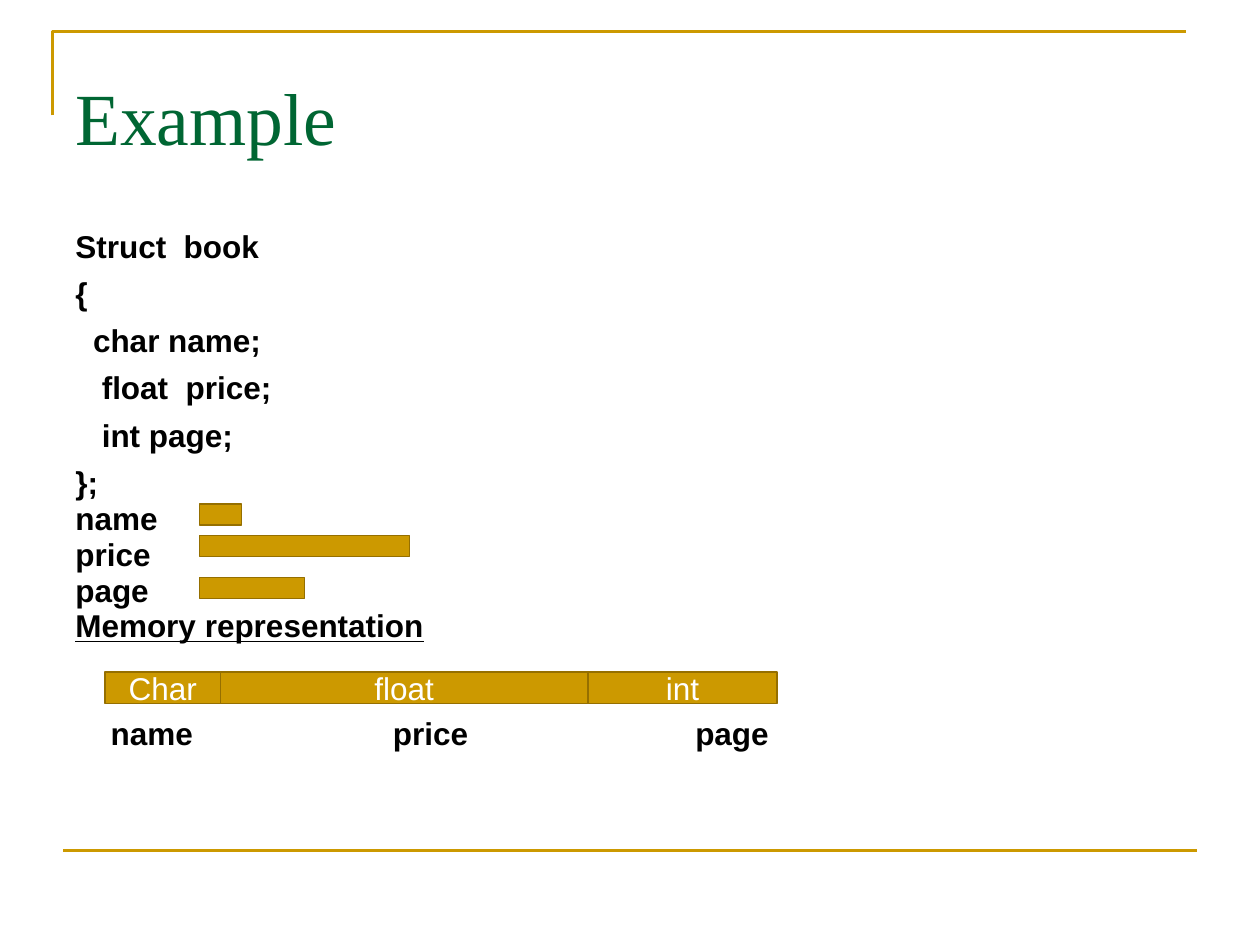
from dataclasses import dataclass

from lxml import etree
from pptx import Presentation
from pptx.dml.color import RGBColor
from pptx.enum.shapes import MSO_CONNECTOR, MSO_SHAPE
from pptx.enum.text import MSO_ANCHOR, PP_ALIGN
from pptx.oxml.ns import qn
from pptx.util import Inches, Pt

STRAIGHT = MSO_CONNECTOR.STRAIGHT
RECTANGLE = MSO_SHAPE.RECTANGLE
TOP, MIDDLE = MSO_ANCHOR.TOP, MSO_ANCHOR.MIDDLE
LEFT, CENTER = PP_ALIGN.LEFT, PP_ALIGN.CENTER


@dataclass(frozen=True)
class Theme:
    gold: RGBColor = RGBColor(0xCC, 0x99, 0x00)
    outline: RGBColor = RGBColor(0x95, 0x6F, 0x00)
    green: RGBColor = RGBColor(0x00, 0x66, 0x33)
    black: RGBColor = RGBColor(0, 0, 0)
    white: RGBColor = RGBColor(0xFF, 0xFF, 0xFF)
    title_font: str = "Times New Roman"
    body_font: str = "Arial"
    title_size: float = 42
    body_size: float = 18
    rule_width: float = 1.5
    box_width: float = 1


THEME = Theme()


def grid(units):
    """The grid has twelve units to the inch."""
    return Inches(units / 12)


def add_run(paragraph, text, color, size=THEME.body_size, font=THEME.body_font,
            bold=False, underline=False):
    run = paragraph.add_run()
    run.text = text
    run.font.name = font
    run.font.size = Pt(size)
    run.font.bold = bold
    run.font.underline = underline
    run.font.color.rgb = color


def add_tab_stops(paragraph, positions):
    properties = paragraph._p.get_or_add_pPr()
    tab_list = etree.SubElement(properties, qn("a:tabLst"))
    for position in positions:
        etree.SubElement(tab_list, qn("a:tab"), pos=str(Inches(position)), algn="l")


def add_text_box(slide, left, top, width, height, anchor):
    box = slide.shapes.add_textbox(grid(left), grid(top), grid(width), grid(height))
    box.text_frame.word_wrap = True
    box.text_frame.vertical_anchor = anchor
    return box.text_frame


def add_frame(slide):
    # Corner at the top left
    builder = slide.shapes.build_freeform(grid(5), grid(11))
    builder.add_line_segments([(grid(5), grid(3)), (grid(113), grid(3))], close=False)
    corner = builder.convert_to_shape()
    corner.shadow.inherit = False
    corner.fill.background()
    # Rule at the foot
    rule = slide.shapes.add_connector(STRAIGHT, grid(6), grid(81), grid(114), grid(81))
    etree.SubElement(rule._element.spPr, qn("a:effectLst"))
    for shape in (corner, rule):
        shape.line.color.rgb = THEME.gold
        shape.line.width = Pt(THEME.rule_width)


def add_title(slide, text):
    frame = add_text_box(slide, 6, 3.6, 108, 15, MIDDLE)
    add_run(frame.paragraphs[0], text, THEME.green, THEME.title_size, THEME.title_font)


def add_body(slide):
    frame = add_text_box(slide, 6, 21, 108, 59, TOP)

    def add_line(text, before=4.5, exact=True, indent=0, tabs=(), underline=False):
        first = frame.paragraphs[0]
        paragraph = frame.add_paragraph() if first.runs else first
        paragraph.alignment = LEFT
        paragraph.space_before = Pt(before)
        if exact:
            paragraph.line_spacing = Pt(16)
        if indent:
            paragraph._p.get_or_add_pPr().set("marL", str(Inches(indent)))
        if tabs:
            add_tab_stops(paragraph, tabs)
        add_run(paragraph, text, THEME.black, bold=True, underline=underline)

    # Structure definition
    code = [("Struct  book", 0), ("{", 0), ("char name;", 0.14),
            ("float  price;", 0.21), ("int page;", 0.21), ("};", 0)]
    for number, (text, indent) in enumerate(code):
        add_line(text, before=5.4 if number else 1, exact=False, indent=indent)
    # Member labels
    for text in ("name", "price", "page"):
        add_line(text)
    # Heading and the labels below the memory row
    add_line("Memory representation\t", tabs=[2.97], underline=True)
    add_line("\tname\tprice\tpage", before=45.5, tabs=[0.28, 2.52, 4.92])


def add_box(slide, left, top, width, height, text=""):
    box = slide.shapes.add_shape(RECTANGLE, grid(left), grid(top), grid(width), grid(height))
    box.shadow.inherit = False
    box.fill.solid()
    box.fill.fore_color.rgb = THEME.gold
    box.line.color.rgb = THEME.outline
    box.line.width = Pt(THEME.box_width)
    if text:
        box.text_frame.vertical_anchor = MIDDLE
        paragraph = box.text_frame.paragraphs[0]
        paragraph.alignment = CENTER
        add_run(paragraph, text, THEME.white)


def add_member_bars(slide):
    for top, width in ((48, 4), (51, 20), (55, 10)):
        add_box(slide, 19, top, width, 2)


def add_memory_row(slide):
    left = 10
    for text, width in (("Char", 11), ("float", 35), ("int", 18)):
        add_box(slide, left, 64, width, 3, text)
        left += width


def main():
    presentation = Presentation()
    presentation.slide_width = Inches(10)
    presentation.slide_height = Inches(7.5)
    slide = presentation.slides.add_slide(presentation.slide_layouts[6])
    add_frame(slide)
    add_title(slide, "Example")
    add_body(slide)
    add_member_bars(slide)
    add_memory_row(slide)
    presentation.save("out.pptx")


if __name__ == "__main__":
    main()
